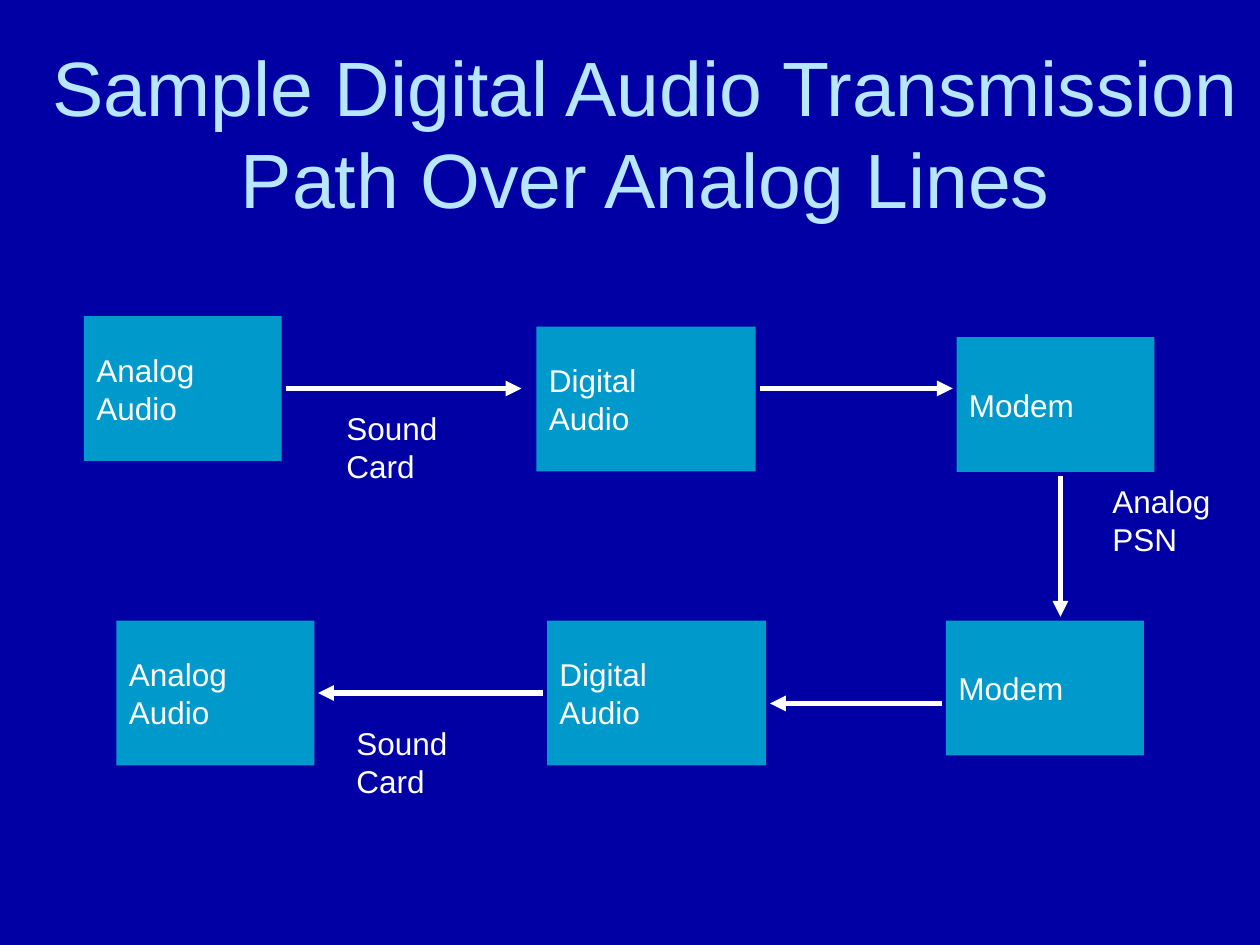
from lxml.etree import SubElement
from pptx import Presentation
from pptx.dml.color import RGBColor
from pptx.enum.shapes import MSO_CONNECTOR, MSO_SHAPE
from pptx.enum.text import MSO_ANCHOR, PP_ALIGN
from pptx.oxml.ns import qn
from pptx.util import Inches, Pt

NAVY = RGBColor(0x00, 0x00, 0xA4)
TEAL = RGBColor(0x00, 0x99, 0xCC)
PALE_BLUE = RGBColor(0xB7, 0xE7, 0xFF)
WHITE = RGBColor(0xFF, 0xFF, 0xFF)
FONT = "Arial"

TITLE = "Sample Digital Audio Transmission Path Over Analog Lines"
ANALOG = (["Analog", "Audio"], 1.57, 1.15)
DIGITAL = (["Digital", "Audio"], 1.74, 1.15)
MODEM = (["Modem"], 1.57, 1.07)

UNIT = 1 / 12
STAGES = {
    "source": (ANALOG, 8, 30.1),
    "encoder": (DIGITAL, 51.1, 31.1),
    "sender": (MODEM, 91.1, 32.1),
    "receiver": (MODEM, 90.1, 59.1),
    "decoder": (DIGITAL, 52.1, 59.1),
    "output": (ANALOG, 11.1, 59.1),
}
GAP = 0.03
ARROWS = [
    ("source", "encoder", 37, 0.12),
    ("encoder", "sender", 37, GAP),
    ("sender", "receiver", 101, GAP),
    ("receiver", "decoder", 67, GAP),
    ("decoder", "output", 66, GAP),
]
LABELS = [
    (["Sound", "Card"], 2.65, 3.2, 1.15),
    (["Sound", "Card"], 2.73, 5.7, 1.15),
    (["Analog", "PSN"], 8.73, 3.78, 1.28),
]
LABEL_HEIGHT = 0.9


def write(shape, lines, size, color, alignment, anchor):
    frame = shape.text_frame
    frame.word_wrap = True
    frame.vertical_anchor = anchor
    for index, line in enumerate(lines):
        paragraph = frame.add_paragraph() if index else frame.paragraphs[0]
        paragraph.alignment = alignment
        run = paragraph.add_run()
        run.text = line
        run.font.name = FONT
        run.font.size = Pt(size)
        run.font.color.rgb = color


def add_stage(slide, kind, column, row):
    lines, width, height = kind
    left, top = column * UNIT, row * UNIT
    shape = slide.shapes.add_shape(
        MSO_SHAPE.RECTANGLE, Inches(left), Inches(top), Inches(width), Inches(height)
    )
    shape.shadow.inherit = False
    shape.fill.solid()
    shape.fill.fore_color.rgb = TEAL
    shape.line.fill.background()
    write(shape, lines, 18, WHITE, PP_ALIGN.LEFT, MSO_ANCHOR.MIDDLE)
    return left, top, left + width, top + height


def arrow_ends(start, end, offset, end_gap):
    across = offset * UNIT
    if start[2] < end[0]:
        return (start[2] + GAP, across), (end[0] - end_gap, across)
    if end[2] < start[0]:
        return (start[0] - GAP, across), (end[2] + end_gap, across)
    return (across, start[3] + GAP), (across, end[1] - end_gap)


def add_arrow(slide, begin, end):
    connector = slide.shapes.add_connector(
        MSO_CONNECTOR.STRAIGHT, *[Inches(value) for value in begin + end]
    )
    connector.line.color.rgb = WHITE
    connector.line.width = Pt(3)
    SubElement(connector.line._get_or_add_ln(), qn("a:tailEnd"), type="triangle")
    SubElement(connector._element.spPr, qn("a:effectLst"))


def main():
    presentation = Presentation()
    presentation.slide_width, presentation.slide_height = Inches(10), Inches(7.5)
    slide = presentation.slides.add_slide(presentation.slide_layouts[5])
    slide.background.fill.solid()
    slide.background.fill.fore_color.rgb = NAVY

    title = slide.shapes.title
    title.left, title.top = Inches(0.25), Inches(0.42)
    title.width, title.height = Inches(9.75), Inches(1.25)
    write(title, [TITLE], 44, PALE_BLUE, PP_ALIGN.CENTER, MSO_ANCHOR.MIDDLE)

    bounds = {name: add_stage(slide, *stage) for name, stage in STAGES.items()}
    for start, end, offset, end_gap in ARROWS:
        add_arrow(slide, *arrow_ends(bounds[start], bounds[end], offset, end_gap))

    for lines, left, top, width in LABELS:
        label = slide.shapes.add_textbox(
            Inches(left), Inches(top), Inches(width), Inches(LABEL_HEIGHT)
        )
        write(label, lines, 18, WHITE, PP_ALIGN.LEFT, MSO_ANCHOR.TOP)

    presentation.save("out.pptx")


if __name__ == "__main__":
    main()
